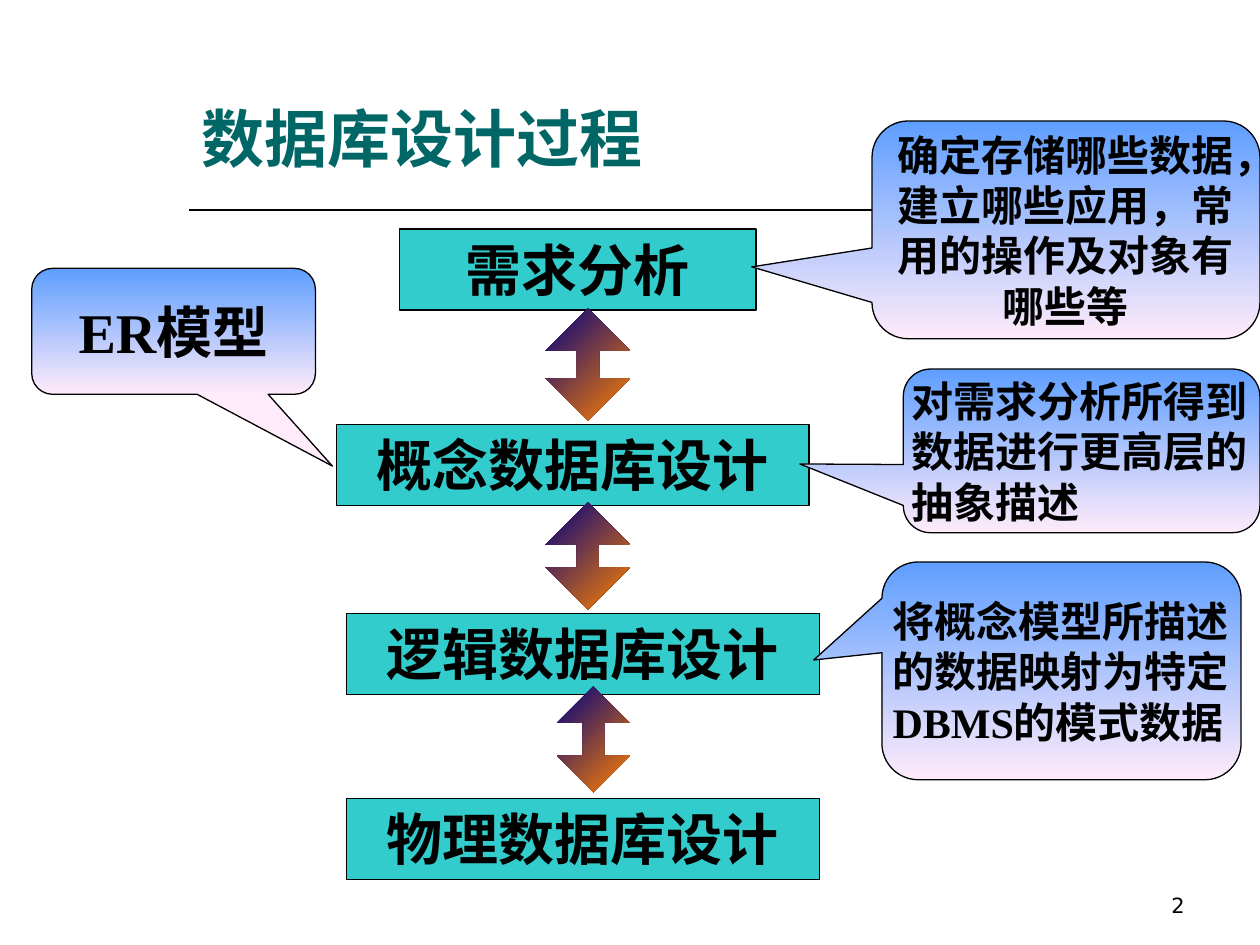
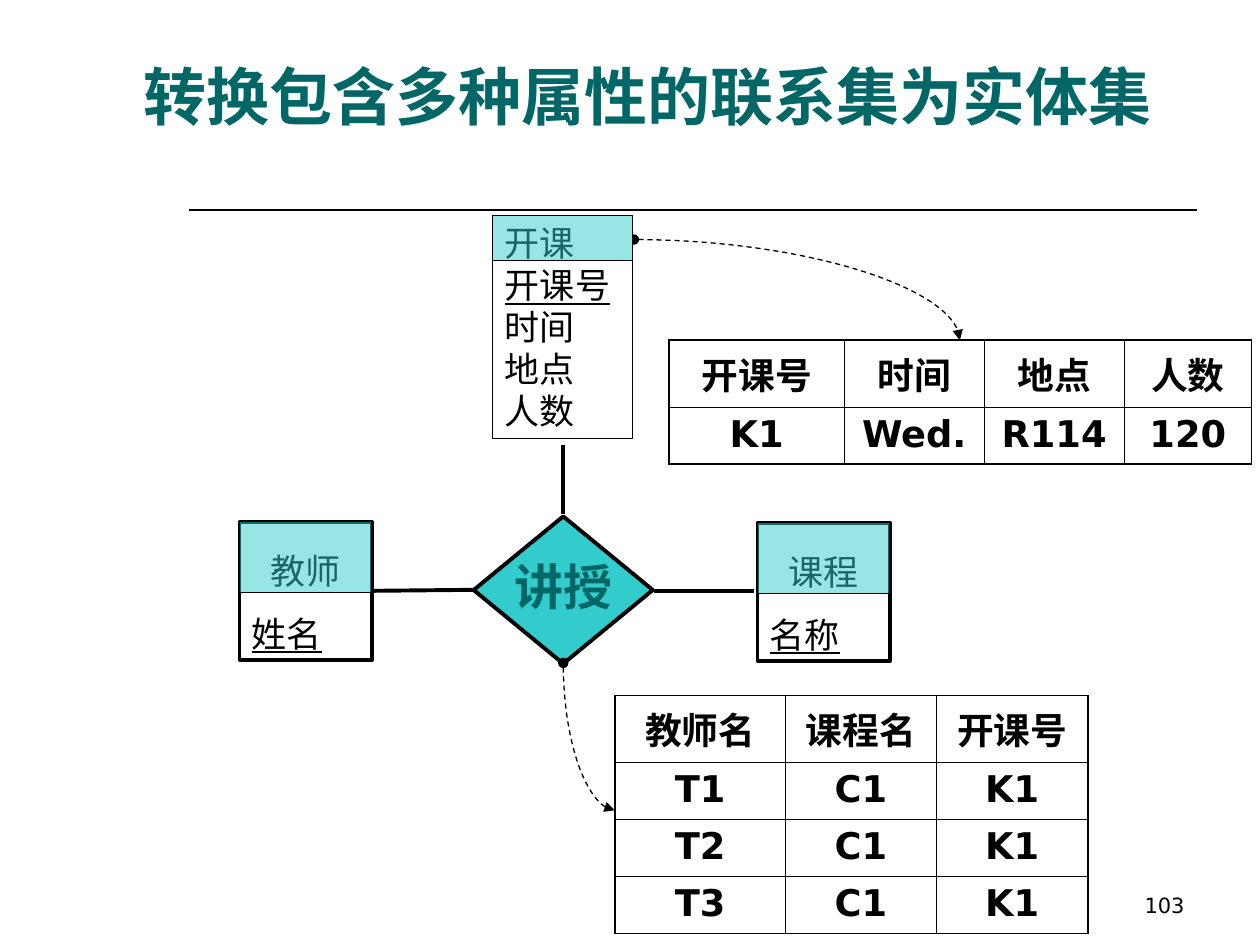
from itertools import pairwise

from lxml.etree import SubElement
from pptx import Presentation
from pptx.dml.color import RGBColor
from pptx.enum.dml import MSO_LINE
from pptx.enum.shapes import MSO_CONNECTOR, MSO_SHAPE
from pptx.enum.text import MSO_ANCHOR, PP_ALIGN
from pptx.oxml.ns import qn
from pptx.util import Cm, Pt

BLACK, DARK_TEAL, TURQUOISE = "000000", "006666", "33CCCC"
SKY_TO_PINK, NAVY_TO_ORANGE = ("5E9EFF", "FFEBFA"), ("000082", "FF8200")
SERIF, SANS, HEADING = "Times New Roman", "DejaVu Sans", "Arial"
rgb = RGBColor.from_string


def write(frame, text, size, font=SERIF, color=BLACK, bold=True,
          align=PP_ALIGN.CENTER, anchor=MSO_ANCHOR.MIDDLE, spacing=None, underlined=None):
    frame.text = text
    frame.word_wrap = True
    frame.vertical_anchor = anchor
    for number, paragraph in enumerate(frame.paragraphs):
        paragraph.alignment = align
        paragraph.line_spacing = spacing
        for run in paragraph.runs:
            run.font.size = Pt(size)
            run.font.name = font
            run.font.bold = bold
            run.font.underline = number == underlined
            run.font.color.rgb = rgb(color)


def draw(slide, kind, box, fill=None, line=None, angle=0, adjustments=()):
    if isinstance(kind, MSO_CONNECTOR):
        shape = slide.shapes.add_connector(kind, *map(Cm, box))
    else:
        shape = slide.shapes.add_shape(kind, *map(Cm, box))
        shape.shadow.inherit = False
        for index, value in enumerate(adjustments):
            shape.adjustments[index] = value
        if isinstance(fill, tuple):
            shape.fill.gradient()
            shape.fill.gradient_angle = angle
            for stop, color in zip(shape.fill.gradient_stops, fill):
                stop.color.rgb = rgb(color)
        elif fill:
            shape.fill.solid()
            shape.fill.fore_color.rgb = rgb(fill)
        else:
            shape.fill.background()
    if line:
        shape.line.color.rgb = rgb(BLACK)
        shape.line.width = Pt(line)
    else:
        shape.line.fill.background()
    if isinstance(kind, MSO_CONNECTOR):
        SubElement(shape._element.spPr, qn("a:effectLst"))
    return shape


deck = Presentation()
deck.slide_width, deck.slide_height = Cm(25.4), Cm(19.05)

pages = []
for title, title_box, page_number in (
    ("数据库设计过程", (3.81, 1.09, 20.32, 2.57), "2"),
    ("转换包含多种属性的联系集为实体集", (2.64, 0.84, 21.49, 1.96), "103"),
):
    page = deck.slides.add_slide(deck.slide_layouts[6])
    draw(page, MSO_CONNECTOR.STRAIGHT, (3.81, 4.24, 24.13, 4.24), line=1)
    heading = page.shapes.add_textbox(*map(Cm, title_box))
    write(heading.text_frame, title, 36, HEADING, DARK_TEAL,
          align=PP_ALIGN.LEFT, anchor=MSO_ANCHOR.BOTTOM)
    footer = page.shapes.add_textbox(Cm(18.21), Cm(17.35), Cm(5.92), Cm(1.27))
    write(footer.text_frame, page_number, 12, SANS, bold=False,
          align=PP_ALIGN.RIGHT, anchor=MSO_ANCHOR.BOTTOM)
    pages.append(page)
process, conversion = pages

for stage, left, top, width in (
    ("需求分析", 8.05, 4.62, 7.19),
    ("概念数据库设计", 6.78, 8.56, 9.53),
    ("逻辑数据库设计", 6.99, 12.37, 9.53),
    ("物理数据库设计", 6.99, 16.1, 9.53),
):
    step = draw(process, MSO_SHAPE.RECTANGLE, (left, top, width, 1.63), TURQUOISE, 0.75)
    write(step.text_frame, stage, 32, anchor=MSO_ANCHOR.TOP)

for remark, box, pointer, size, align in (
    ("确定存储哪些数据，建立哪些应用，常用的操作及对象有哪些等",
     (17.58, 2.44, 7.82, 4.39), (-0.81, 0.17), 24, PP_ALIGN.CENTER),
    ("对需求分析所得到数据进行更高层的抽象描述",
     (18.21, 7.44, 7.19, 3.3), (-0.79, 0.08), 24, PP_ALIGN.LEFT),
    ("将概念模型所描述的数据映射为特定DBMS的模式数据",
     (17.78, 11.33, 7.24, 4.39), (-0.69, -0.05), 24, PP_ALIGN.LEFT),
    ("ER模型", (0.64, 5.41, 5.72, 2.54), (0.56, 1.07), 32, PP_ALIGN.CENTER),
):
    callout = draw(process, MSO_SHAPE.ROUNDED_RECTANGULAR_CALLOUT, box,
                   SKY_TO_PINK, 0.75, 270, pointer)
    frame = callout.text_frame
    frame.margin_left = frame.margin_right = frame.margin_top = frame.margin_bottom = 0
    write(frame, remark, size, align=align)

for box, head in (
    ((11.0, 6.22, 1.7, 2.26), 0.27),
    ((11.0, 10.13, 1.7, 2.16), 0.26),
    ((11.23, 13.84, 1.47, 2.13), 0.29),
):
    draw(process, MSO_SHAPE.UP_DOWN_ARROW, box, NAVY_TO_ORANGE, angle=315,
         adjustments=(0.32, head))

for link in (
    (7.52, 11.91, 9.58, 11.89),
    (13.18, 11.91, 15.19, 11.91),
    (11.35, 8.97, 11.35, 10.36),
):
    draw(conversion, MSO_CONNECTOR.STRAIGHT, link, line=2.25)

teaching = draw(conversion, MSO_SHAPE.DIAMOND, (9.55, 10.41, 3.61, 2.97), TURQUOISE, 2.25)
write(teaching.text_frame, "讲授", 28, color=DARK_TEAL, spacing=0.9)
teaching.text_frame.word_wrap = False

for left, top, widths, records in (
    (12.4, 14.02, (3.43, 3.05, 3.05),
     (("教师名", "课程名", "开课号"), ("T1", "C1", "K1"), ("T2", "C1", "K1"), ("T3", "C1", "K1"))),
    (13.49, 6.86, (3.53, 2.82, 2.82, 2.57),
     (("开课号", "时间", "地点", "人数"), ("K1", "Wed.", "R114", "120"))),
):
    heights = [1.35] + [1.15] * (len(records) - 1)
    table = conversion.shapes.add_table(
        len(records), len(widths), Cm(left), Cm(top), Cm(sum(widths)), Cm(sum(heights))).table
    table.first_row = table.horz_banding = False
    for column, width in zip(table.columns, widths):
        column.width = Cm(width)
    for r, (record, height) in enumerate(zip(records, heights)):
        table.rows[r].height = Cm(height)
        for c, value in enumerate(record):
            cell = table.cell(r, c)
            write(cell.text_frame, value, 21, SANS)
            cell.vertical_anchor = MSO_ANCHOR.TOP
            properties = cell._tc.get_or_add_tcPr()
            for side, outer in (("L", c == 0), ("R", c == len(widths) - 1),
                                ("T", r == 0), ("B", r == len(records) - 1)):
                border = SubElement(properties, qn(f"a:ln{side}"),
                                    w=str(Pt(1.08 if outer else 0.45)))
                SubElement(SubElement(border, qn("a:solidFill")), qn("a:srgbClr"), val=BLACK)
            cell.fill.background()

for ends, rotation in (
    ((13.36, 14.33, 10.39, 15.37), 270),
    ((12.78, 4.83, 19.35, 6.86), 0),
):
    curve = draw(conversion, MSO_CONNECTOR.CURVE, ends, line=0.75)
    curve.line.dash_style = MSO_LINE.DASH
    properties = curve._element.spPr
    properties.find(qn("a:prstGeom")).set("prst", "curvedConnector2")
    properties.find(qn("a:xfrm")).set("rot", str(rotation * 60000))
    outline = properties.find(qn("a:ln"))
    SubElement(outline, qn("a:headEnd"), type="oval")
    SubElement(outline, qn("a:tailEnd"), type="triangle")

for attributes, box, band_height, fill, line, spacing, name_align, underlined in (
    ("教师\n姓名", (4.83, 10.52, 2.67, 2.79), 1.42, None, 2, 1.5, PP_ALIGN.CENTER, 1),
    ("课程\n名称", (15.27, 10.54, 2.67, 2.79), 1.42, None, 2, 1.5, PP_ALIGN.CENTER, 1),
    ("开课\n开课号\n时间\n地点\n人数", (9.93, 4.34, 2.82, 4.5), 0.91,
     "FFFFFF", 0.75, None, PP_ALIGN.LEFT, 1),
):
    entity = draw(conversion, MSO_SHAPE.RECTANGLE, box, fill, line)
    write(entity.text_frame, attributes, 20, bold=False, align=PP_ALIGN.LEFT,
          anchor=MSO_ANCHOR.TOP, spacing=spacing, underlined=underlined)
    entity.text_frame.paragraphs[0].alignment = name_align
    band = draw(conversion, MSO_SHAPE.RECTANGLE, (*box[:3], band_height), TURQUOISE, 0.75)
    tint = band._element.spPr.find(qn("a:solidFill")).find(qn("a:srgbClr"))
    SubElement(tint, qn("a:alpha"), val="50000")

deck.save("out.pptx")
